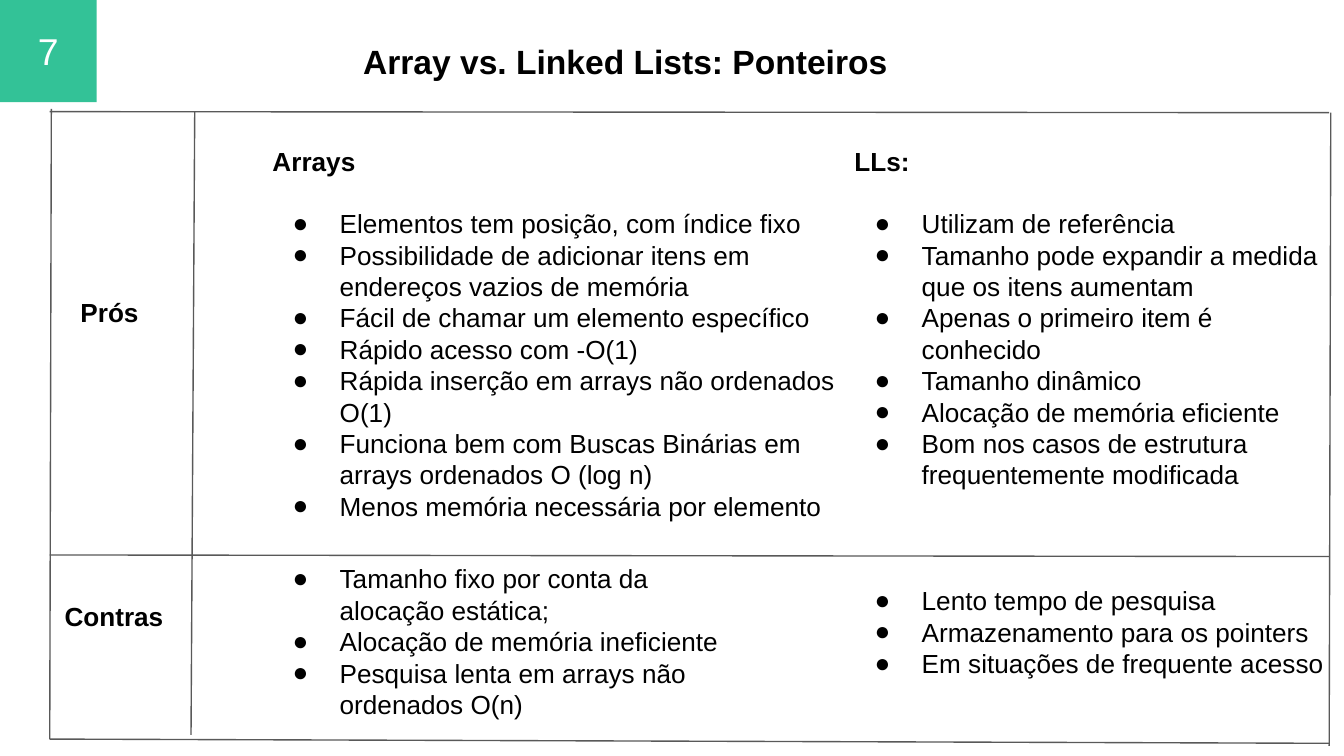
from dataclasses import dataclass

from lxml import etree
from pptx import Presentation
from pptx.dml.color import RGBColor
from pptx.enum import shapes, text
from pptx.oxml import ns
from pptx.util import Cm, Pt


@dataclass(frozen=True)
class Theme:
    """Colours, font and type sizes of the slide."""
    font: str = "Arial"
    ink: str = "000000"
    paper: str = "FFFFFF"
    accent: str = "12B886"
    accent_alpha: int = 86
    rule: str = "595959"
    rule_width: float = 0.75
    body: int = 14
    title: int = 18
    number: int = 20


THEME = Theme()
PAD = Cm(0.25)
PROS_ARRAYS = [
    "Elementos tem posição, com índice fixo",
    "Possibilidade de adicionar itens em endereços vazios de memória",
    "Fácil de chamar um elemento específico",
    "Rápido acesso com -O(1)",
    "Rápida inserção em arrays não ordenados O(1)",
    "Funciona bem com Buscas Binárias em arrays ordenados O (log n)",
    "Menos memória necessária por elemento",
]
PROS_LISTS = [
    "Utilizam de referência",
    "Tamanho pode expandir a medida que os itens aumentam",
    "Apenas o primeiro item é conhecido",
    "Tamanho dinâmico",
    "Alocação de memória eficiente",
    "Bom nos casos de estrutura frequentemente modificada",
]
CONS_ARRAYS = [
    "Tamanho fixo por conta da alocação estática;",
    "Alocação de memória ineficiente",
    "Pesquisa lenta em arrays não ordenados O(n)",
]
CONS_LISTS = [
    "Lento tempo de pesquisa",
    "Armazenamento para os pointers",
    "Em situações de frequente acesso",
]


def apply(obj, values):
    """Set each attribute named in a dict of format values."""
    for name, value in values.items():
        setattr(obj, name, value)


def sub(parent, tag, **attrs):
    """Append a DrawingML element and return it."""
    return etree.SubElement(parent, ns.qn(tag), attrs)


def set_frame(tf, anchor=text.MSO_ANCHOR.TOP, auto=text.MSO_AUTO_SIZE.SHAPE_TO_FIT_TEXT):
    """Give a text frame the common padding, wrapping and anchor."""
    apply(tf, {"margin_left": PAD, "margin_right": PAD, "margin_top": PAD,
               "margin_bottom": PAD, "word_wrap": True,
               "vertical_anchor": anchor, "auto_size": auto})


def write(p, content, size=THEME.body, color=THEME.ink, bold=False,
          align=text.PP_ALIGN.LEFT):
    """Write one formatted run into a paragraph."""
    p.alignment = align
    r = p.add_run()
    r.text = content
    apply(r.font, {"name": THEME.font, "size": Pt(size), "bold": bold})
    r.font.color.rgb = RGBColor.from_string(color)


def add_bullet(p):
    """Give a paragraph a round bullet and a hanging indent."""
    pPr = p._p.get_or_add_pPr()
    apply_attrs = {"marL": Cm(1.27), "indent": Cm(-0.89)}
    for name, value in apply_attrs.items():
        pPr.set(name, str(int(value)))
    sub(sub(pPr, "a:buClr"), "a:srgbClr", val=THEME.ink)
    sub(pPr, "a:buFont", typeface=THEME.font)
    sub(pPr, "a:buChar", char="●")


def add_number(s, box, number):
    """Place the coloured page number tile."""
    sp = s.shapes.add_shape(shapes.MSO_SHAPE.RECTANGLE, *map(Cm, box))
    sp.shadow.inherit = False
    sp.fill.solid()
    sp.fill.fore_color.rgb = RGBColor.from_string(THEME.accent)
    color = sp._element.spPr.find(".//" + ns.qn("a:srgbClr"))
    sub(color, "a:alpha", val=str(THEME.accent_alpha * 1000))
    sp.line.fill.background()
    set_frame(sp.text_frame, text.MSO_ANCHOR.MIDDLE, text.MSO_AUTO_SIZE.NONE)
    write(sp.text_frame.paragraphs[0], number, THEME.number, THEME.paper,
          align=text.PP_ALIGN.CENTER)


def add_title(s, box, content):
    """Move and format the title placeholder."""
    sp = s.shapes.title
    apply(sp, dict(zip(("left", "top", "width", "height"), map(Cm, box))))
    set_frame(sp.text_frame)
    write(sp.text_frame.paragraphs[0], content, THEME.title, bold=True,
          align=text.PP_ALIGN.CENTER)


def add_text(s, box, heading=None, items=()):
    """Place an optional bold heading above an optional bulleted list."""
    tf = s.shapes.add_textbox(*map(Cm, box)).text_frame
    set_frame(tf)
    p = tf.paragraphs[0]
    if heading:
        write(p, heading, bold=True)
        if items:
            p.space_after = Pt(THEME.body * 1.2)
    for i, item in enumerate(items):
        p = tf.add_paragraph() if heading or i else p
        write(p, item)
        add_bullet(p)


def add_grid(s, box, column, row):
    """Draw the slightly uneven frame with one column and one row rule."""
    x, y, w, h = box
    right, bottom = x + w, y + h
    rules = [
        (x, bottom, right, bottom + 0.08),
        (x + 0.03, y - 0.05, x, bottom),
        (x, y, right, y + 0.02),
        (right + 0.03, y + 0.02, right, bottom + 0.13),
        (x + column, y, x + column - 0.07, bottom - 0.08),
        (x, y + row, right, y + row + 0.03),
    ]
    for ends in rules:
        line = s.shapes.add_connector(shapes.MSO_CONNECTOR.STRAIGHT, *map(Cm, ends))
        line.line.color.rgb = RGBColor.from_string(THEME.rule)
        line.line.width = Pt(THEME.rule_width)
        sub(line._element.spPr, "a:effectLst")


def main():
    """Build and save the comparison slide."""
    prs = Presentation()
    apply(prs, {"slide_width": Cm(25.4), "slide_height": Cm(14.29)})
    s = prs.slides.add_slide(prs.slide_layouts[5])
    add_number(s, (0, 0, 1.83, 1.93), "7")
    add_title(s, (6.17, 0.53, 11.3, 1.27), "Array vs. Linked Lists: Ponteiros")
    add_grid(s, (0.94, 2.11, 24.18, 11.86), column=2.74, row=8.38)
    add_text(s, (1.27, 5.36, 3.33, 1.12), "Prós")
    add_text(s, (0.97, 11.1, 3.33, 1.12), "Contras")
    add_text(s, (4.9, 2.49, 11.53, 8.89), "Arrays", PROS_ARRAYS)
    add_text(s, (15.9, 2.49, 9.5, 7.09), "LLs:", PROS_LISTS)
    add_text(s, (4.9, 10.39, 9.5, 3.51), items=CONS_ARRAYS)
    add_text(s, (15.9, 10.8, 9.5, 2.31), items=CONS_LISTS)
    prs.save("out.pptx")


if __name__ == "__main__":
    main()
